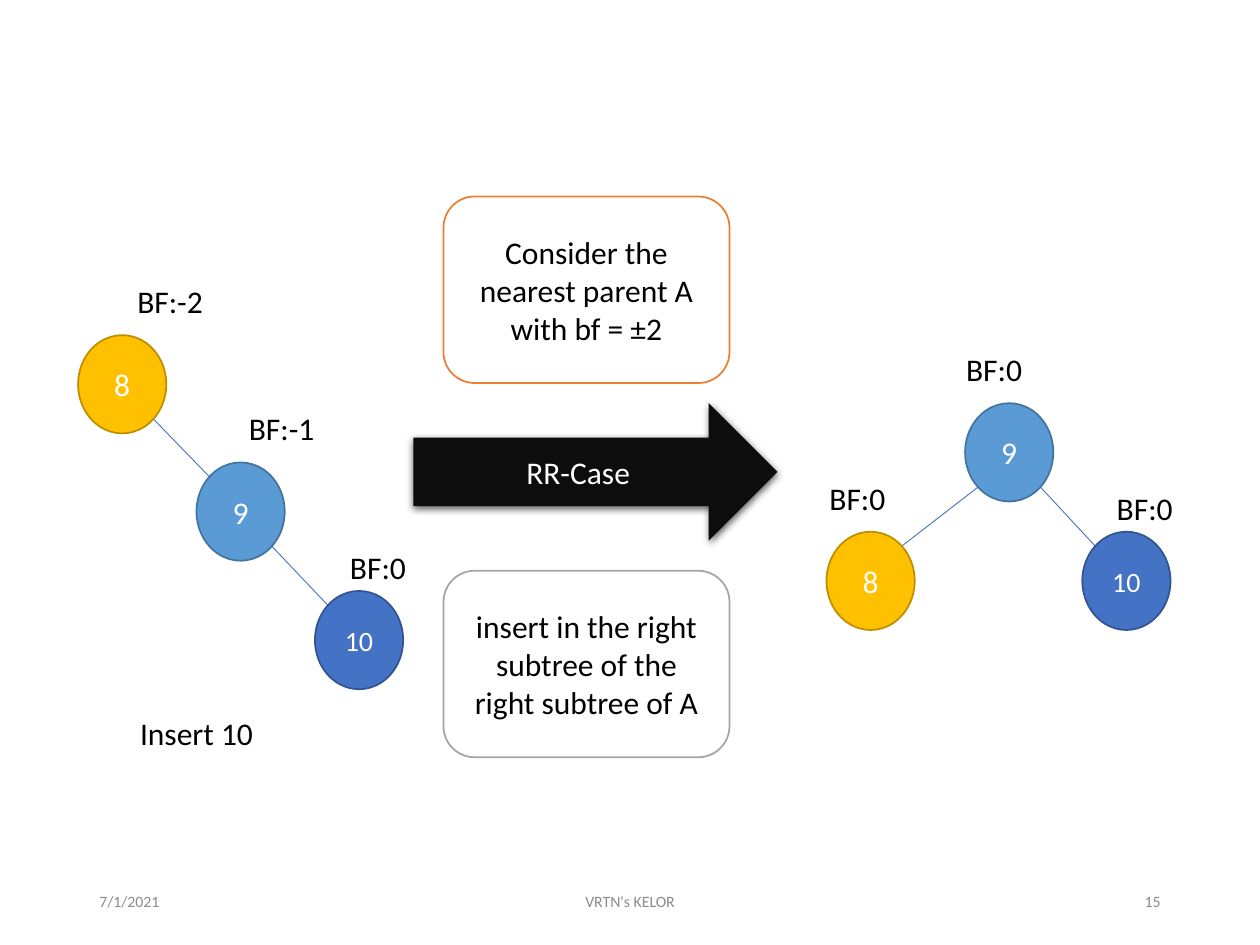
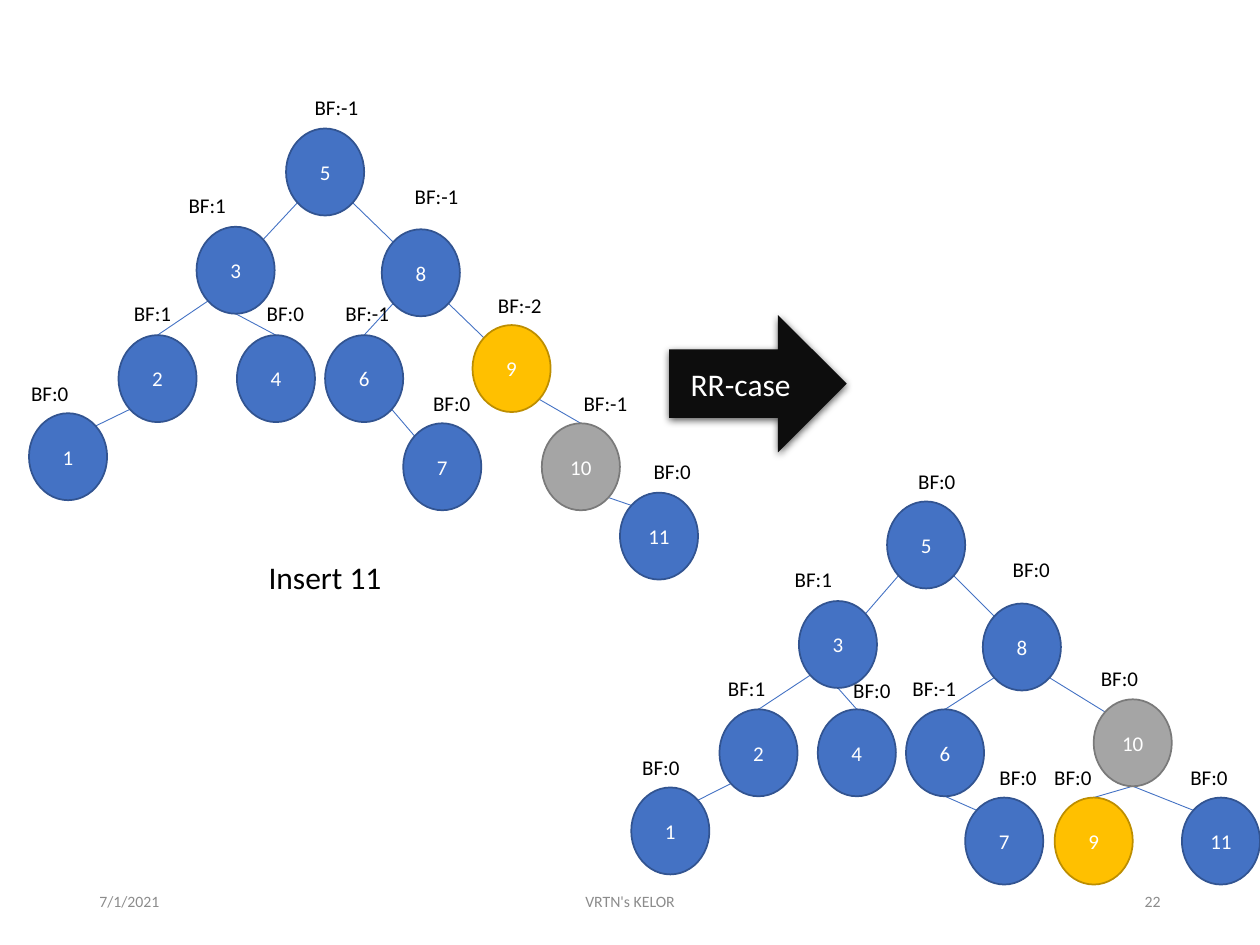
from dataclasses import dataclass
from enum import Enum
from math import sqrt
from typing import NamedTuple

from lxml.etree import SubElement
from pptx import Presentation
from pptx.dml.color import RGBColor
from pptx.enum.shapes import MSO_CONNECTOR as Connector, MSO_SHAPE as Shape
from pptx.enum.text import MSO_ANCHOR as Anchor, MSO_AUTO_SIZE as AutoSize, PP_ALIGN as Align
from pptx.oxml.ns import qn
from pptx.util import Inches, Pt

# Shared style
FONT = "Calibri"
WHITE = RGBColor(0xFF, 0xFF, 0xFF)
BLACK = RGBColor(0x00, 0x00, 0x00)
ARROW_BLACK = RGBColor(0x0D, 0x0D, 0x0D)
FOOTER_GRAY = RGBColor(0x8C, 0x8C, 0x8C)
EDGE_BLUE = RGBColor(0x44, 0x72, 0xC4)
BOX_ORANGE = RGBColor(0xED, 0x7D, 0x31)
BOX_GRAY = RGBColor(0xA5, 0xA5, 0xA5)
DIAGONAL = 1 / sqrt(2)


class Paint(NamedTuple):
    fill: RGBColor
    line: RGBColor | None


BLUE = Paint(EDGE_BLUE, RGBColor(0x32, 0x54, 0x91))
SKY = Paint(RGBColor(0x5B, 0x9B, 0xD5), RGBColor(0x43, 0x73, 0x9E))
GOLD = Paint(RGBColor(0xFF, 0xC0, 0x00), RGBColor(0xBD, 0x8E, 0x00))
GRAY = Paint(BOX_GRAY, RGBColor(0x7A, 0x7A, 0x7A))


class Site(Enum):
    """Point on a node's outline, in half widths and half heights from its centre."""
    TOP = (0, -1)
    BOTTOM = (0, 1)
    TOP_LEFT = (-DIAGONAL, -DIAGONAL)
    TOP_RIGHT = (DIAGONAL, -DIAGONAL)
    BOTTOM_LEFT = (-DIAGONAL, DIAGONAL)
    BOTTOM_RIGHT = (DIAGONAL, DIAGONAL)


class Box(NamedTuple):
    left: float
    top: float
    width: float
    height: float

    def lengths(self) -> list[int]:
        return [Inches(value) for value in self]


@dataclass(frozen=True)
class Node:
    key: int
    left: float
    top: float
    balance: int
    label_left: float
    label_top: float
    label_width: float
    paint: Paint = BLUE
    font_size: int | None = None


@dataclass(frozen=True)
class Edge:
    parent: int
    child: int
    start: Site = Site.BOTTOM_RIGHT
    end: Site = Site.TOP_LEFT


@dataclass(frozen=True)
class TreeStyle:
    node_width: float
    node_height: float
    label_height: float
    font_size: int


LARGE = TreeStyle(0.7, 0.78, 0.4, 18)
SMALL = TreeStyle(0.62, 0.69, 0.3, 12)


# Drawing functions
def write(shape, text: str, size: int, color: RGBColor,
          align=Align.CENTER, anchor=Anchor.MIDDLE) -> None:
    frame = shape.text_frame
    frame.word_wrap = True
    frame.vertical_anchor = anchor
    frame.text = text
    paragraph = frame.paragraphs[0]
    paragraph.alignment = align
    font = paragraph.runs[0].font
    font.name, font.size = FONT, Pt(size)
    font.color.rgb = color


def add_label(slide, box: Box, text: str, size: int) -> None:
    label = slide.shapes.add_textbox(*box.lengths())
    write(label, text, size, BLACK, anchor=Anchor.TOP)
    label.text_frame.auto_size = AutoSize.SHAPE_TO_FIT_TEXT


def add_filled(slide, kind: Shape, box: Box, paint: Paint, text: str,
               size: int, color: RGBColor):
    shape = slide.shapes.add_shape(kind, *box.lengths())
    shape.shadow.inherit = False
    shape.fill.solid()
    shape.fill.fore_color.rgb = paint.fill
    if paint.line is None:
        shape.line.fill.background()
    else:
        shape.line.color.rgb = paint.line
        shape.line.width = Pt(1)
    write(shape, text, size, color)
    return shape


def add_case_arrow(slide, box: Box, text: str) -> None:
    arrow = add_filled(slide, Shape.RIGHT_ARROW, box, Paint(ARROW_BLACK, None), text, 18, WHITE)
    effects = arrow._element.spPr.find(qn("a:effectLst"))
    shadow = SubElement(effects, qn("a:outerShdw"), blurRad=str(Pt(4.5)), dist=str(Pt(1.5)),
                        dir="5400000", algn="ctr", rotWithShape="0")
    shade = SubElement(shadow, qn("a:srgbClr"), val="000000")
    SubElement(shade, qn("a:alpha"), val="63000")


def site_point(node: Node, site: Site, style: TreeStyle) -> tuple[int, int]:
    across, down = site.value
    return (Inches(node.left + style.node_width / 2 * (1 + across)),
            Inches(node.top + style.node_height / 2 * (1 + down)))


def add_tree(slide, nodes: list[Node], edges: list[Edge], style: TreeStyle) -> None:
    by_key = {node.key: node for node in nodes}
    for edge in edges:
        line = slide.shapes.add_connector(
            Connector.STRAIGHT,
            *site_point(by_key[edge.parent], edge.start, style),
            *site_point(by_key[edge.child], edge.end, style))
        line.line.color.rgb = EDGE_BLUE
        line.line.width = Pt(0.5)
        SubElement(line._element.spPr, qn("a:effectLst"))
    for node in nodes:
        add_filled(slide, Shape.OVAL,
                   Box(node.left, node.top, style.node_width, style.node_height),
                   node.paint, str(node.key), node.font_size or style.font_size, WHITE)
        add_label(slide, Box(node.label_left, node.label_top, node.label_width,
                             style.label_height), f"BF:{node.balance}", style.font_size)


def add_footer(slide, number: int) -> None:
    parts = [(0.69, 2.25, "7/1/2021", Align.LEFT),
             (3.31, 3.38, "VRTN's KELOR", Align.CENTER),
             (7.06, 2.25, str(number), Align.RIGHT)]
    for left, width, text, align in parts:
        footer = slide.shapes.add_textbox(*Box(left, 6.95, width, 0.4).lengths())
        write(footer, text, 9, FOOTER_GRAY, align)


# Trees before and after inserting 10
CHAIN_NODES = [
    Node(8, 0.62, 2.66, -2, 0.7, 2.19, 1.3, GOLD),
    Node(9, 1.56, 3.67, -1, 1.64, 3.2, 1.19, SKY),
    Node(10, 2.5, 4.69, 0, 2.58, 4.3, 0.84, font_size=16),
]
CHAIN_EDGES = [Edge(8, 9), Edge(9, 10)]
ROTATED_NODES = [
    Node(9, 7.66, 3.2, 0, 7.5, 2.73, 0.78, SKY),
    Node(8, 6.56, 4.22, 0, 6.42, 3.75, 0.77, GOLD),
    Node(10, 8.59, 4.22, 0, 8.67, 3.83, 0.83, font_size=16),
]
ROTATED_EDGES = [Edge(9, 8, Site.BOTTOM_LEFT, Site.TOP_RIGHT), Edge(9, 10)]

# Trees before and after inserting 11
UNBALANCED_NODES = [
    Node(5, 2.27, 1.02, -1, 2.34, 0.7, 0.66),
    Node(3, 1.56, 1.8, 1, 1.33, 1.48, 0.63),
    Node(8, 3.03, 1.82, -1, 3.1, 1.41, 0.73),
    Node(2, 0.94, 2.66, 1, 0.92, 2.34, 0.58),
    Node(4, 1.88, 2.66, 0, 1.95, 2.34, 0.63),
    Node(6, 2.58, 2.66, -1, 2.5, 2.34, 0.83),
    Node(9, 3.75, 2.58, -2, 3.75, 2.27, 0.75, GOLD),
    Node(1, 0.23, 3.28, 0, 0, 2.97, 0.79),
    Node(7, 3.2, 3.36, 0, 3.25, 3.05, 0.67),
    Node(10, 4.3, 3.36, -1, 4.44, 3.05, 0.73, GRAY),
    Node(11, 4.92, 3.91, 0, 5, 3.59, 0.67),
]
BALANCED_NODES = [
    Node(5, 7.04, 3.98, 0, 7.12, 3.67, 0.63),
    Node(3, 6.34, 4.77, 1, 6.17, 4.45, 0.57),
    Node(8, 7.8, 4.79, 0, 7.87, 4.37, 0.63),
    Node(2, 5.71, 5.63, 1, 5.58, 5.31, 0.69),
    Node(4, 6.49, 5.63, 0, 6.58, 5.33, 0.68),
    Node(6, 7.19, 5.63, -1, 7.08, 5.31, 0.67),
    Node(10, 8.68, 5.55, 0, 8.52, 5.23, 0.73, GRAY),
    Node(1, 5.01, 6.25, 0, 4.92, 5.94, 0.65),
    Node(7, 7.66, 6.33, 0, 7.66, 6.02, 0.84),
    Node(9, 8.37, 6.33, 0, 8.21, 6.02, 0.61, GOLD),
    Node(11, 9.38, 6.33, 0, 9.25, 6.02, 0.69),
]
COMMON_EDGES = [
    Edge(5, 3, Site.BOTTOM_LEFT, Site.TOP_RIGHT),
    Edge(5, 8),
    Edge(3, 2, Site.BOTTOM_LEFT, Site.TOP),
    Edge(3, 4, Site.BOTTOM, Site.TOP),
    Edge(8, 6, Site.BOTTOM_LEFT, Site.TOP),
    Edge(2, 1, Site.BOTTOM_LEFT, Site.TOP_RIGHT),
]
UNBALANCED_EDGES = COMMON_EDGES + [
    Edge(6, 7), Edge(8, 9), Edge(9, 10, end=Site.TOP), Edge(10, 11),
]
BALANCED_EDGES = COMMON_EDGES + [
    Edge(6, 7, Site.BOTTOM),
    Edge(8, 10),
    Edge(10, 9, Site.BOTTOM, Site.TOP),
    Edge(10, 11, Site.BOTTOM),
]


# Slides
def build_insert_10(slide) -> None:
    add_tree(slide, CHAIN_NODES, CHAIN_EDGES, LARGE)
    add_label(slide, Box(0.62, 5.62, 1.88, 0.4), "Insert 10", 18)
    notes = [(1.56, BOX_ORANGE, "Consider the nearest parent A with bf = ±2"),
             (4.53, BOX_GRAY, "insert in the right subtree of the right subtree of A")]
    for top, outline, text in notes:
        add_filled(slide, Shape.ROUNDED_RECTANGLE, Box(3.52, top, 2.27, 1.48),
                   Paint(WHITE, outline), text, 18, BLACK)
    add_case_arrow(slide, Box(3.28, 3.2, 2.89, 1.09), "RR-Case")
    add_tree(slide, ROTATED_NODES, ROTATED_EDGES, LARGE)
    add_footer(slide, 15)


def build_insert_11(slide) -> None:
    add_case_arrow(slide, Box(5.31, 2.5, 1.41, 1.09), "RR-case")
    add_label(slide, Box(1.64, 4.38, 1.88, 0.4), "Insert 11", 18)
    add_tree(slide, UNBALANCED_NODES, UNBALANCED_EDGES, SMALL)
    add_tree(slide, BALANCED_NODES, BALANCED_EDGES, SMALL)
    add_footer(slide, 22)


def main() -> None:
    presentation = Presentation()
    presentation.slide_width, presentation.slide_height = Inches(10), Inches(7.5)
    blank = presentation.slide_layouts[6]
    for build in (build_insert_10, build_insert_11):
        build(presentation.slides.add_slide(blank))
    presentation.save("out.pptx")


if __name__ == "__main__":
    main()
